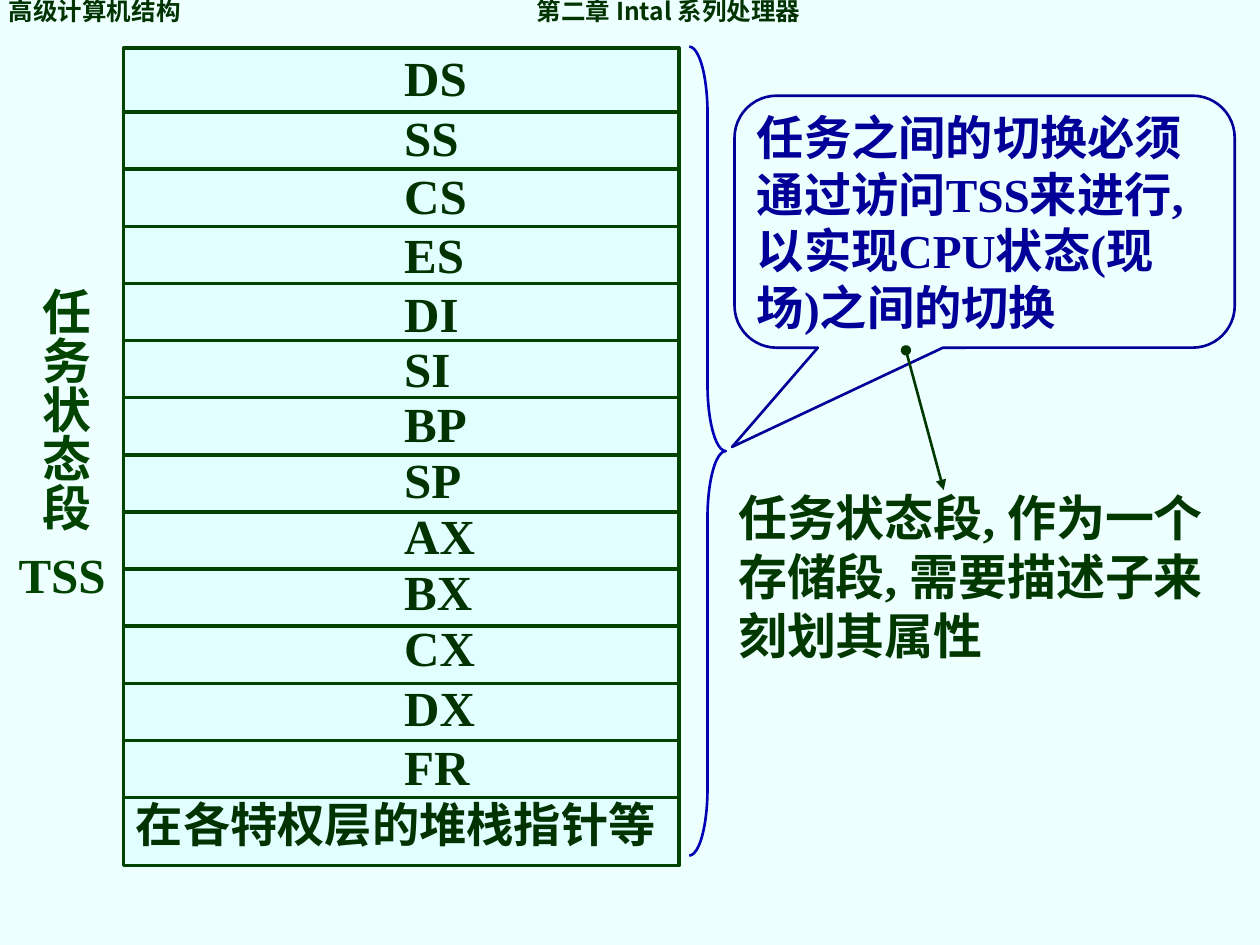
import pptx
import pptx.dml.color
import pptx.enum.shapes
import pptx.enum.text
import pptx.oxml
import pptx.oxml.ns
import pptx.util

SHAPES = pptx.enum.shapes.MSO_SHAPE
ANCHOR = pptx.enum.text.MSO_ANCHOR
ALIGN = pptx.enum.text.PP_ALIGN
COLUMNS, ROWS = 100, 75
REGISTERS = ["DS", "SS", "CS", "ES", "DI", "SI", "BP", "SP", "AX", "BX", "CX", "DX", "FR"]
TIGHT = {"DS": 0.9, **dict.fromkeys(REGISTERS[5:11], 0.95)}


def color(value):
    return pptx.dml.color.RGBColor.from_string(value)


def add_xml(parent, tag, **attributes):
    child = parent.makeelement(pptx.oxml.ns.qn(tag), attributes)
    parent.append(child)
    return child


class Board:
    latin = "Times New Roman"
    cjk = "Noto Sans CJK SC"
    ink = "003300"
    frame = "004400"
    note = "000099"

    def __init__(self, deck):
        self.column = deck.slide_width / COLUMNS
        self.row = deck.slide_height / ROWS
        self.slide = deck.slides.add_slide(deck.slide_layouts[5])
        self.slide.background.fill.solid()
        self.slide.background.fill.fore_color.rgb = color("EDFFFF")

    def place(self, left, top, width, height):
        return (round(left * self.column), round(top * self.row),
                round(width * self.column), round(height * self.row))

    def inset(self, frame, sides, ends, anchor=ANCHOR.TOP):
        frame.word_wrap = True
        frame.auto_size = pptx.enum.text.MSO_AUTO_SIZE.NONE
        frame.vertical_anchor = anchor
        frame.margin_left = frame.margin_right = round(sides * self.column)
        frame.margin_top = frame.margin_bottom = round(ends * self.row)

    def letter(self, paragraph, text, size, ink, font=None, spacing=1.0, align=ALIGN.LEFT):
        paragraph.text = text
        paragraph.alignment = align
        paragraph.line_spacing = spacing
        paragraph.space_before = pptx.util.Pt(0)
        paragraph.font.name = font or self.latin
        paragraph.font.size = pptx.util.Pt(size)
        paragraph.font.bold = True
        paragraph.font.color.rgb = color(ink)

    def header(self, box, course, chapter, chapter_column):
        title = self.slide.shapes.title
        title.left, title.top, title.width, title.height = self.place(*box)
        self.inset(title.text_frame, 1, 0.5)
        paragraph = title.text_frame.paragraphs[0]
        tabs = add_xml(paragraph._p.get_or_add_pPr(), "a:tabLst")
        add_xml(tabs, "a:tab", pos=str(round(chapter_column * self.column)), algn="l")
        self.letter(paragraph, f"{course}\t{chapter}", 14, self.ink, self.cjk, 0.75)

    def label(self, box, text, size, ink, vertical=False):
        frame = self.slide.shapes.add_textbox(*self.place(*box)).text_frame
        self.inset(frame, *((0.5, 1) if vertical else (1, 0.5)))
        if vertical:
            frame._txBody.bodyPr.set("vert", "eaVert")
        self.letter(frame.paragraphs[0], text, size, ink)

    def outline(self, kind, box, line, weight, fill=None, adjustments=()):
        shape = self.slide.shapes.add_shape(kind, *self.place(*box))
        shape.shadow.inherit = False
        if fill:
            shape.fill.solid()
            shape.fill.fore_color.rgb = color(fill)
        else:
            shape.fill.background()
        shape.line.color.rgb = color(line)
        shape.line.width = pptx.util.Pt(weight)
        for index, value in enumerate(adjustments):
            shape.adjustments[index] = value
        return shape

    def line(self, start, end, ink, weight, head=None, tail=None):
        connector = self.slide.shapes.add_connector(
            pptx.enum.shapes.MSO_CONNECTOR.STRAIGHT, *self.place(*start, *end))
        connector.line.color.rgb = color(ink)
        connector.line.width = pptx.util.Pt(weight)
        stroke = connector.line._get_or_add_ln()
        for tag, marker in (("a:headEnd", head), ("a:tailEnd", tail)):
            if marker:
                add_xml(stroke, tag, type=marker, w="med", len="med")
        add_xml(connector._element.spPr, "a:effectLst")

    def segment(self, box, registers, last, indent, first_divider, last_divider):
        left, top, width, height = box
        frame = self.outline(SHAPES.RECTANGLE, box, self.frame, 2, "E1FFFF").text_frame
        self.inset(frame, 1, 0.5)
        for index, name in enumerate(registers + [last]):
            paragraph = frame.add_paragraph() if index else frame.paragraphs[0]
            if name != last:
                paragraph._p.get_or_add_pPr().set("marL", str(round(indent * self.column)))
            self.letter(paragraph, name, 27 if name == last else 28, self.ink,
                        spacing=TIGHT.get(name, 1.0), align=ALIGN.JUSTIFY)
        step = (last_divider - first_divider) / (len(registers) - 1)
        for index in range(len(registers)):
            divider = first_divider + index * step
            self.line((left, divider), (left + width, divider), self.frame, 2)

    def callout(self, box, text, adjustments):
        shape = self.outline(SHAPES.ROUNDED_RECTANGULAR_CALLOUT, box, self.note, 1.5,
                             adjustments=adjustments)
        self.inset(shape.text_frame, 0.8, 0, ANCHOR.MIDDLE)
        self.letter(shape.text_frame.paragraphs[0], text, 27, self.note)


def main():
    deck = pptx.Presentation()
    deck.slide_width = pptx.util.Inches(10)
    deck.slide_height = pptx.util.Inches(7.5)
    board = Board(deck)
    board.header((-0.3, -0.3, 100.2, 2.8), "高级计算机结构", "第二章 Intal 系列处理器", 41.9)
    board.segment((9.8, 3.8, 44.1, 64.9), REGISTERS, "在各特权层的堆栈指针等",
                  indent=21.3, first_divider=8.9, last_divider=63.3)
    board.label((1.4, 21.8, 6.6, 27), "任务状态段", 28, board.frame, vertical=True)
    board.label((0.5, 42.7, 12.3, 5.7), "TSS", 28, board.frame)
    board.outline(SHAPES.RIGHT_BRACE, (54.7, 3.7, 2.9, 64.2), "0000B4", 1.5,
                  adjustments=(1.83, 0.5))
    board.callout((58.3, 7.6, 39.7, 20),
                  "任务之间的切换必须通过访问TSS来进行, 以实现CPU状态(现场)之间的切换",
                  (-0.505, 0.894, 0.167))
    board.line((71.9, 27.8), (74.9, 38.9), "003800", 1.5, head="oval", tail="triangle")
    board.label((57.6, 38.2, 39.6, 15), "任务状态段, 作为一个存储段, 需要描述子来刻划其属性",
                28, "003800")
    deck.save("out.pptx")


if __name__ == "__main__":
    main()
